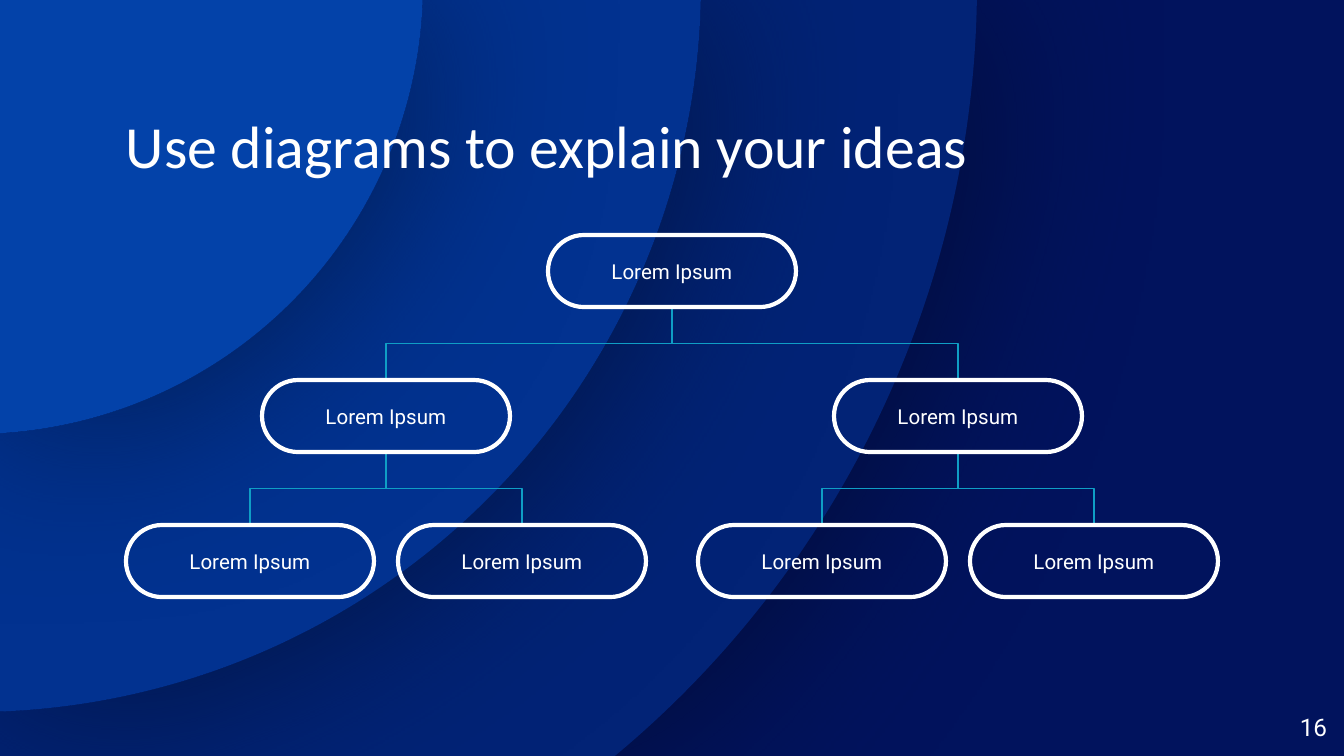
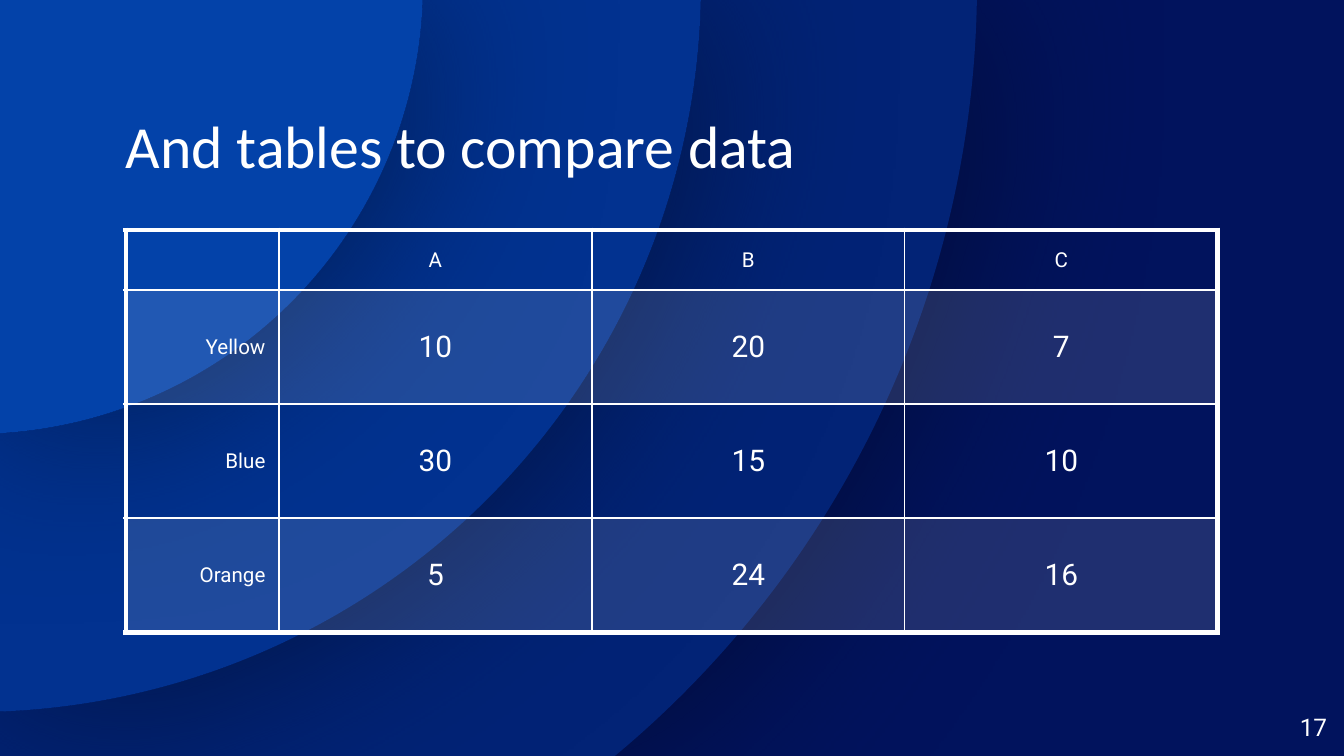
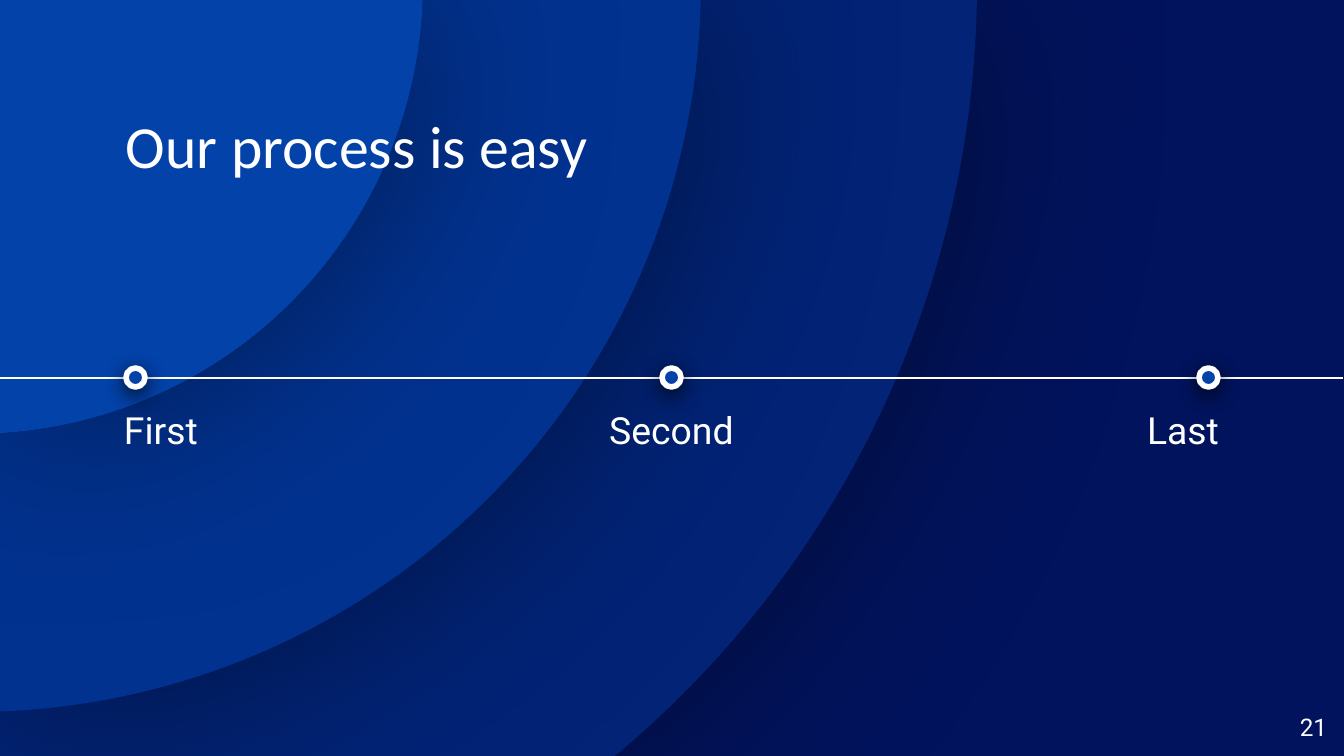
from math import acos, asin, cos, sin, tan

from lxml import etree
from pptx import Presentation
from pptx.dml.color import RGBColor
from pptx.enum.shapes import MSO_CONNECTOR, MSO_SHAPE
from pptx.enum.text import MSO_ANCHOR, PP_ALIGN
from pptx.oxml.ns import qn
from pptx.util import Pt

ELBOW, STRAIGHT = MSO_CONNECTOR.ELBOW, MSO_CONNECTOR.STRAIGHT
PILL, OVAL = MSO_SHAPE.ROUNDED_RECTANGLE, MSO_SHAPE.OVAL
LEFT, CENTER, RIGHT = PP_ALIGN.LEFT, PP_ALIGN.CENTER, PP_ALIGN.RIGHT
TOP, MIDDLE, BOTTOM = MSO_ANCHOR.TOP, MSO_ANCHOR.MIDDLE, MSO_ANCHOR.BOTTOM

PX = 6804  # EMU per px
WIDTH, HEIGHT = 1344, 756
MARGIN, CONTENT_WIDTH = 126, 1092
WHITE, NAVY, BRIGHT_BLUE, TEAL, SHADE = "FFFFFF", "01135D", "0342A9", "0F9EC5", "01050E"
TITLE_FONT, BODY_FONT = "Calibri", "Roboto"
rgb = RGBColor.from_string


def write(frame, text, size, align, font=BODY_FONT):
    paragraph = frame.paragraphs[0]
    paragraph.text = text
    paragraph.alignment = align
    paragraph.font.size = Pt(size)
    paragraph.font.name = font
    paragraph.font.color.rgb = rgb(WHITE)
    return paragraph


def cast_shadow(shape, blur, distance, degrees, opacity):
    shape.shadow.inherit = False
    effects = shape._element.spPr.find(qn("a:effectLst"))
    shadow = etree.SubElement(effects, qn("a:outerShdw"), blurRad=str(Pt(blur)),
                              dist=str(Pt(distance)), dir=str(degrees * 60000),
                              algn="ctr", rotWithShape="0")
    color = etree.SubElement(shadow, qn("a:srgbClr"), val=SHADE)
    etree.SubElement(color, qn("a:alpha"), val=str(opacity * 1000))


prs = Presentation()
prs.slide_width, prs.slide_height = WIDTH * PX, HEIGHT * PX
blank = prs.slide_layouts[6]
for placeholder in list(blank.placeholders):
    placeholder._element.getparent().remove(placeholder._element)
diagram, comparison, process = [prs.slides.add_slide(blank) for _ in range(3)]

# Shared background: concentric rings clipped to the slide, kept on the layout
background = prs.slide_master.background.fill
background.solid()
background.fore_color.rgb = rgb(NAVY)
CENTER_X, CENTER_Y = -27, -16

# Each arc is a start point followed by two Bézier curves of three points
arcs = [[(0, 0)]]
for radius in (450, 728, 1004):
    start = asin(-CENTER_Y / radius)
    end = min(acos(-CENTER_X / radius), asin(min(1, (HEIGHT - CENTER_Y) / radius)))
    step = (end - start) / 2
    pull = 4 / 3 * tan(step / 4)
    offsets = [(cos(start), sin(start))]
    for a in (start, start + step):
        b = a + step
        offsets += [(cos(a) - pull * sin(a), sin(a) + pull * cos(a)),
                    (cos(b) + pull * sin(b), sin(b) - pull * cos(b)),
                    (cos(b), sin(b))]
    arcs.append([(CENTER_X + radius * x, CENTER_Y + radius * y) for x, y in offsets])

for ring_color, inner, outer, corner in (("022376", arcs[2], arcs[3], [(0, HEIGHT)]),
                                         ("023290", arcs[1], arcs[2], []),
                                         (BRIGHT_BLUE, arcs[0], arcs[1], [])):
    points = [(round(x * PX), round(y * PX)) for x, y in outer + corner + inner[::-1]]
    builder = diagram.shapes.build_freeform(*points[0], scale=1.0)
    builder.add_line_segments(points[1:], close=True)
    ring = builder.convert_to_shape()
    # Join the points of both arcs, three by three, into curves
    sides = list(ring._element.iter(qn("a:lnTo")))
    curve_starts = [*range(0, len(outer) - 1, 3),
                    *range(len(sides) - len(inner) + 1, len(sides), 3)]
    for i in curve_starts:
        curve = etree.Element(qn("a:cubicBezTo"))
        sides[i].addprevious(curve)
        for side in sides[i:i + 3]:
            curve.append(side[0])
            side.getparent().remove(side)
    ring.fill.solid()
    ring.fill.fore_color.rgb = rgb(ring_color)
    ring.line.fill.background()
    cast_shadow(ring, 112.5, 0, 0, 50)
    blank.shapes._spTree.append(ring._element)

# Slide 1: tree of three levels
NODE_WIDTH, NODE_HEIGHT = 248, 72
TREE_TOP, LEVEL_PITCH = 235, 145
root = (WIDTH // 2, TREE_TOP)
nodes, branches = [root], []
parents = [root]
for spread in (286, 136):
    children = []
    for x, y in parents:
        for child in ((x - spread, y + LEVEL_PITCH), (x + spread, y + LEVEL_PITCH)):
            children.append(child)
            branches.append(((x, y + NODE_HEIGHT), child))
    nodes += children
    parents = children

# An elbow leaves sideways, so it is laid out lying down and turned upright
for (x1, y1), (x2, y2) in branches:
    to_left = x2 < x1
    reach = (y2 - y1) * PX // 2 * (1 if to_left else -1)
    span = abs(x2 - x1) * PX // 2
    mid_x, mid_y = (x1 + x2) * PX // 2, (y1 + y2) * PX // 2
    branch = diagram.shapes.add_connector(ELBOW, mid_x - reach, mid_y - span,
                                          mid_x + reach, mid_y + span)
    branch.line.color.rgb = rgb(TEAL)
    branch.line.width = Pt(0.75)
    branch._element.spPr.xfrm.set("rot", str((90 if to_left else 270) * 60000))
    etree.SubElement(branch._element.spPr, qn("a:effectLst"))

for x, y in nodes:
    node = diagram.shapes.add_shape(PILL, (x - NODE_WIDTH // 2) * PX, y * PX,
                                    NODE_WIDTH * PX, NODE_HEIGHT * PX)
    node.adjustments[0] = 0.5
    node.shadow.inherit = False
    node.fill.background()
    node.line.color.rgb = rgb(WHITE)
    node.line.width = Pt(2.25)
    node.text_frame.vertical_anchor = MIDDLE
    write(node.text_frame, "Lorem Ipsum", 11, CENTER)

# Slide 2: table with a heavy frame and thin inner lines
records = [("", "A", "B", "C"),
           ("Yellow", "10", "20", "7"),
           ("Blue", "30", "15", "10"),
           ("Orange", "5", "24", "16")]
column_widths, row_heights = (153, 313, 313, 313), (60, 114, 114, 115)
last = len(records) - 1
table = comparison.shapes.add_table(4, 4, MARGIN * PX, 230 * PX, CONTENT_WIDTH * PX,
                                    sum(row_heights) * PX).table
table.first_row = table.horz_banding = False
for i in range(4):
    table.columns[i].width = column_widths[i] * PX
    table.rows[i].height = row_heights[i] * PX

for r, record in enumerate(records):
    for c, value in enumerate(record):
        cell = table.cell(r, c)
        cell.vertical_anchor = MIDDLE
        cell.margin_top = cell.margin_bottom = 9 * PX
        write(cell.text_frame, value, 16 if r and c else 11, RIGHT if c == 0 else CENTER)
        for edge, on_frame in (("L", c == 0), ("R", c == last), ("T", r == 0), ("B", r == last)):
            border = etree.SubElement(cell._tc.tcPr, qn("a:ln" + edge),
                                      w=str(Pt(3 if on_frame else 0.75)))
            border_fill = etree.SubElement(border, qn("a:solidFill"))
            etree.SubElement(border_fill, qn("a:srgbClr"), val=WHITE)
        if r % 2:
            cell.fill.solid()
            cell.fill.fore_color.rgb = rgb(WHITE)
            tint = cell._tc.tcPr.find(qn("a:solidFill"))[0]
            etree.SubElement(tint, qn("a:alpha"), val="12000")
        else:
            cell.fill.background()

# Slide 3: timeline with three stops
axis = process.shapes.add_connector(STRAIGHT, 0, 378 * PX, 1343 * PX, 378 * PX)
axis.line.color.rgb = rgb(WHITE)
axis.line.width = Pt(0.75)
etree.SubElement(axis._element.spPr, qn("a:effectLst"))
for stop_left in (126, 662, 1199):
    stop = process.shapes.add_shape(OVAL, stop_left * PX, 368 * PX, 19 * PX, 19 * PX)
    stop.fill.solid()
    stop.fill.fore_color.rgb = rgb(BRIGHT_BLUE)
    stop.line.color.rgb = rgb(WHITE)
    stop.line.width = Pt(3)
    cast_shadow(stop, 11.2, 3, 90, 86)

# Titles, page numbers and timeline labels
captions = []
for slide, title, number in ((diagram, "Use diagrams to explain your ideas", "16"),
                             (comparison, "And tables to compare data", "17"),
                             (process, "Our process is easy", "21")):
    captions.append((slide, title, (MARGIN, 123, CONTENT_WIDTH, 58), 32, LEFT, BOTTOM, TITLE_FONT))
    captions.append((slide, number, (1247, 698, 80, 58), 13, RIGHT, MIDDLE, BODY_FONT))
for label, label_left, align in (("First", 124, LEFT), ("Second", 574, CENTER), ("Last", 1024, RIGHT)):
    captions.append((process, label, (label_left, 407, 195, 48), 20, align, TOP, BODY_FONT))

for slide, text, box, size, align, anchor, font in captions:
    frame = slide.shapes.add_textbox(*[n * PX for n in box]).text_frame
    frame.word_wrap = True
    frame.vertical_anchor = anchor
    frame.margin_left = frame.margin_right = frame.margin_top = frame.margin_bottom = 0
    paragraph = write(frame, text, size, align, font)
    if font == TITLE_FONT:
        paragraph.line_spacing = 0.9

prs.save("out.pptx")
